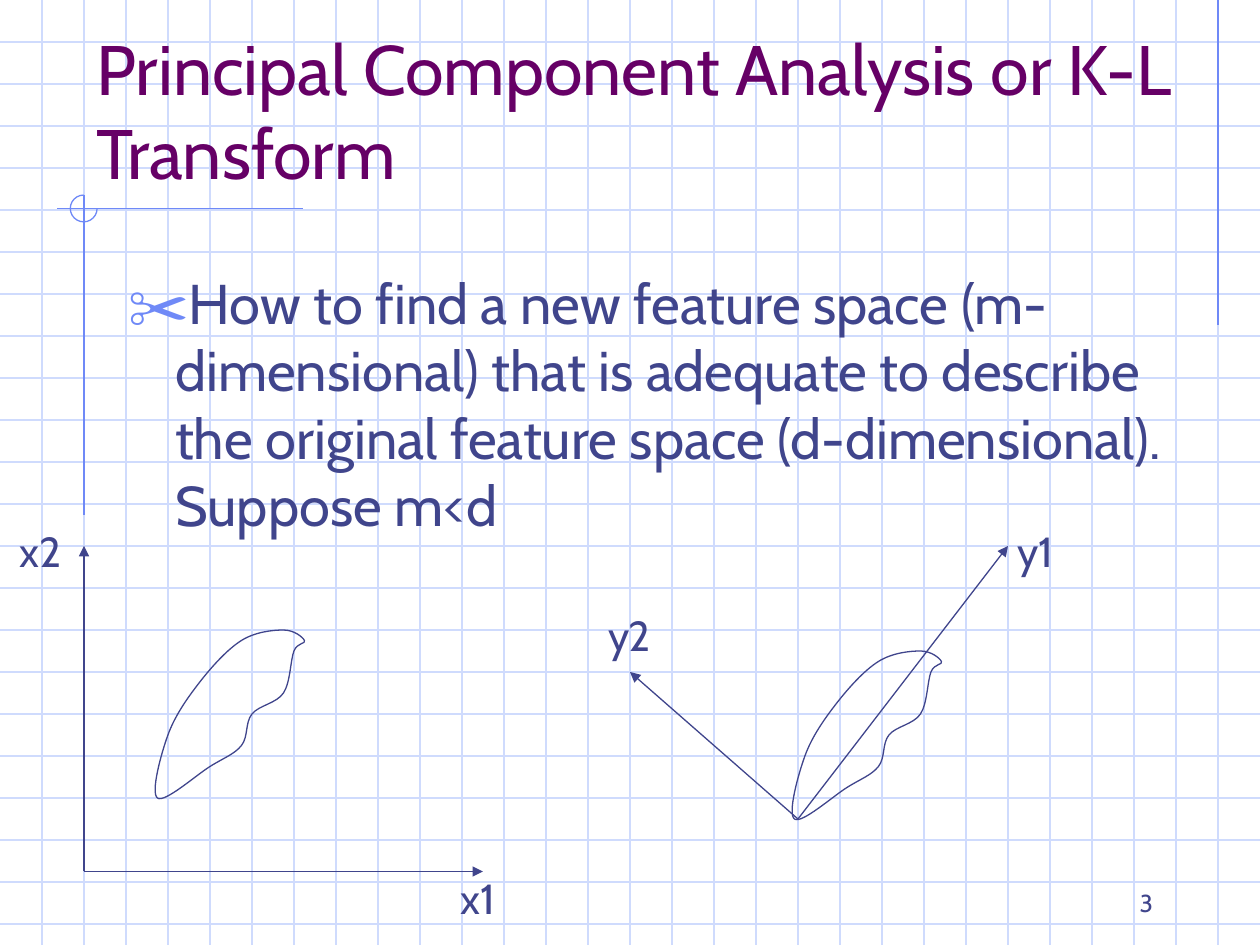
from typing import NamedTuple

from lxml.etree import SubElement
from pptx import Presentation
from pptx.dml.color import RGBColor
from pptx.enum.shapes import MSO_CONNECTOR, MSO_SHAPE
from pptx.enum.text import MSO_ANCHOR, PP_ALIGN
from pptx.oxml import parse_xml
from pptx.oxml.ns import nsdecls, qn
from pptx.shapes.connector import Connector
from pptx.slide import Slide
from pptx.text.text import _Paragraph
from pptx.util import Pt

COLORS = {"grid": "CFDBFD", "accent": "6F89F7", "ink": "40458C", "title": "660066"}
FONT = "Cabin"
BULLET_FONT = "Noto Sans Symbols"
WIDTH, HEIGHT, GRID_STEP = 720, 540, 24
LINE_WIDTH = 0.75


class Point(NamedTuple):
    x: float
    y: float


class Line(NamedTuple):
    start: Point
    end: Point
    color: str = "ink"
    arrow: bool = False


class Label(NamedTuple):
    text: str
    left: float
    top: float
    width: float
    height: float
    size: float
    color: str = "ink"
    wrap: bool = True
    anchor: MSO_ANCHOR = MSO_ANCHOR.TOP
    align: PP_ALIGN = PP_ALIGN.LEFT


GRID = [
    Line(Point(0, y), Point(WIDTH, y), "grid") for y in range(GRID_STEP, HEIGHT, GRID_STEP)
] + [
    Line(Point(x, 0), Point(x, HEIGHT), "grid") for x in range(GRID_STEP, WIDTH, GRID_STEP)
]
ORNAMENT = [
    Line(Point(696, 0), Point(696, 185.75), "accent"),
    Line(Point(173.1, 119.25), Point(32.5, 119.25), "accent"),
    Line(Point(48, 111.5), Point(48, 294.5), "accent"),
]
OLD_ORIGIN, NEW_ORIGIN = Point(48, 498), Point(456, 468)
OLD_AXES = [
    Line(OLD_ORIGIN, Point(276, 498), arrow=True),
    Line(OLD_ORIGIN, Point(48, 312), arrow=True),
]
NEW_AXES = [
    Line(NEW_ORIGIN, Point(576, 312), arrow=True),
    Line(NEW_ORIGIN, Point(360, 384), arrow=True),
]
CLUSTER = [
    Point(90, 456), Point(96, 420), Point(114, 390), Point(138, 366),
    Point(162, 360), Point(174, 366), Point(168, 372), Point(162, 396),
    Point(144, 408), Point(138, 426), Point(120, 438),
]
NEW_CLUSTER_SHIFT = Point(364, 12)

TITLE = Label("Principal Component Analysis or K-L Transform",
              48, 24, 660, 90, 40, "title", anchor=MSO_ANCHOR.BOTTOM)
BODY = Label("How to find a new feature space (m-dimensional) that is adequate to describe "
             "the original feature space (d-dimensional). Suppose m<d",
             66, 150, 612, 324, 32)
SLIDE_NUMBER = Label("3", 516, 492, 150, 36, 14,
                     anchor=MSO_ANCHOR.BOTTOM, align=PP_ALIGN.RIGHT)
AXIS_LABELS = [
    Label(text, left, top, 40.3, 36, 24, wrap=False)
    for text, left, top in (
        ("x1", 256.3, 494.9), ("x2", 4.3, 296.9), ("y1", 574.5, 296.9), ("y2", 340.6, 344.9),
    )
]


def rgb(name: str) -> RGBColor:
    return RGBColor.from_string(COLORS[name])


def draw_line(slide: Slide, line: Line) -> Connector:
    connector = slide.shapes.add_connector(
        MSO_CONNECTOR.STRAIGHT, *(Pt(value) for value in (*line.start, *line.end)))
    connector.line.color.rgb = rgb(line.color)
    connector.line.width = Pt(LINE_WIDTH)
    if line.arrow:
        SubElement(connector.line._get_or_add_ln(), qn("a:tailEnd"), type="triangle")
    SubElement(connector._element.spPr, qn("a:effectLst"))
    return connector


def draw_label(slide: Slide, label: Label) -> _Paragraph:
    shape = slide.shapes.add_textbox(
        Pt(label.left), Pt(label.top), Pt(label.width), Pt(label.height))
    frame = shape.text_frame
    frame.word_wrap = label.wrap
    frame.vertical_anchor = label.anchor
    paragraph = frame.paragraphs[0]
    paragraph.text = label.text
    paragraph.alignment = label.align
    paragraph.font.name = FONT
    paragraph.font.size = Pt(label.size)
    paragraph.font.color.rgb = rgb(label.color)
    return paragraph


def add_scissors_bullet(paragraph: _Paragraph) -> None:
    properties = paragraph._p.get_or_add_pPr()
    properties.set("marL", str(Pt(27)))
    properties.set("indent", str(-Pt(27)))
    defaults = properties.find(qn("a:defRPr"))
    for element in (
        f'<a:buClr {nsdecls("a")}><a:srgbClr val="{COLORS["accent"]}"/></a:buClr>',
        f'<a:buSzPct {nsdecls("a")} val="110000"/>',
        f'<a:buFont {nsdecls("a")} typeface="{BULLET_FONT}"/>',
        f'<a:buChar {nsdecls("a")} char="✂"/>',
    ):
        defaults.addprevious(parse_xml(element))


def spline_points(knots: list[Point]) -> list[Point]:
    """Return two Bezier controls and an end for each piece of a closed Catmull-Rom curve."""
    count = len(knots)
    points = []
    for index in range(count):
        before, start, end, after = (
            knots[(index + offset) % count] for offset in (-1, 0, 1, 2))
        points += [
            Point(start.x + (end.x - before.x) / 6, start.y + (end.y - before.y) / 6),
            Point(end.x - (after.x - start.x) / 6, end.y - (after.y - start.y) / 6),
            end,
        ]
    return points


def draw_cluster(slide: Slide, shift: Point) -> None:
    start, *rest = [
        (Pt(point.x + shift.x), Pt(point.y + shift.y))
        for point in (CLUSTER[0], *spline_points(CLUSTER))
    ]
    builder = slide.shapes.build_freeform(*start)
    builder.add_line_segments(rest, close=True)
    shape = builder.convert_to_shape()
    segments = list(shape._element.iter(qn("a:lnTo")))
    for first in range(0, len(rest), 3):
        curve = parse_xml(f'<a:cubicBezTo {nsdecls("a")}/>')
        segments[first].addprevious(curve)
        for segment in segments[first:first + 3]:
            curve.append(segment[0])
            segment.getparent().remove(segment)
    shape.shadow.inherit = False
    shape.fill.background()
    shape.line.color.rgb = rgb("ink")
    shape.line.width = Pt(LINE_WIDTH)


def draw_ornament_ring(slide: Slide) -> None:
    """Draw three quarters of a circle, open at the upper right."""
    ring = slide.shapes.add_shape(MSO_SHAPE.ARC, Pt(40.2), Pt(111.5), Pt(15.3), Pt(15.3))
    ring.adjustments[0] = 0
    ring.adjustments[1] = 162  # 270 degrees, in units of 100000/60000 degree
    ring.shadow.inherit = False
    ring.fill.background()
    ring.line.color.rgb = rgb("accent")
    ring.line.width = Pt(LINE_WIDTH)


def main() -> None:
    presentation = Presentation()
    presentation.slide_width, presentation.slide_height = Pt(WIDTH), Pt(HEIGHT)
    slide = presentation.slides.add_slide(presentation.slide_layouts[6])

    for line in GRID + ORNAMENT:
        draw_line(slide, line)
    draw_ornament_ring(slide)

    draw_label(slide, SLIDE_NUMBER)
    draw_label(slide, TITLE)
    body = draw_label(slide, BODY)
    body.space_before = Pt(8)
    add_scissors_bullet(body)

    draw_cluster(slide, Point(0, 0))
    draw_cluster(slide, NEW_CLUSTER_SHIFT)
    for axis in OLD_AXES + NEW_AXES:
        draw_line(slide, axis)
    for label in AXIS_LABELS:
        draw_label(slide, label)

    presentation.save("out.pptx")


if __name__ == "__main__":
    main()
